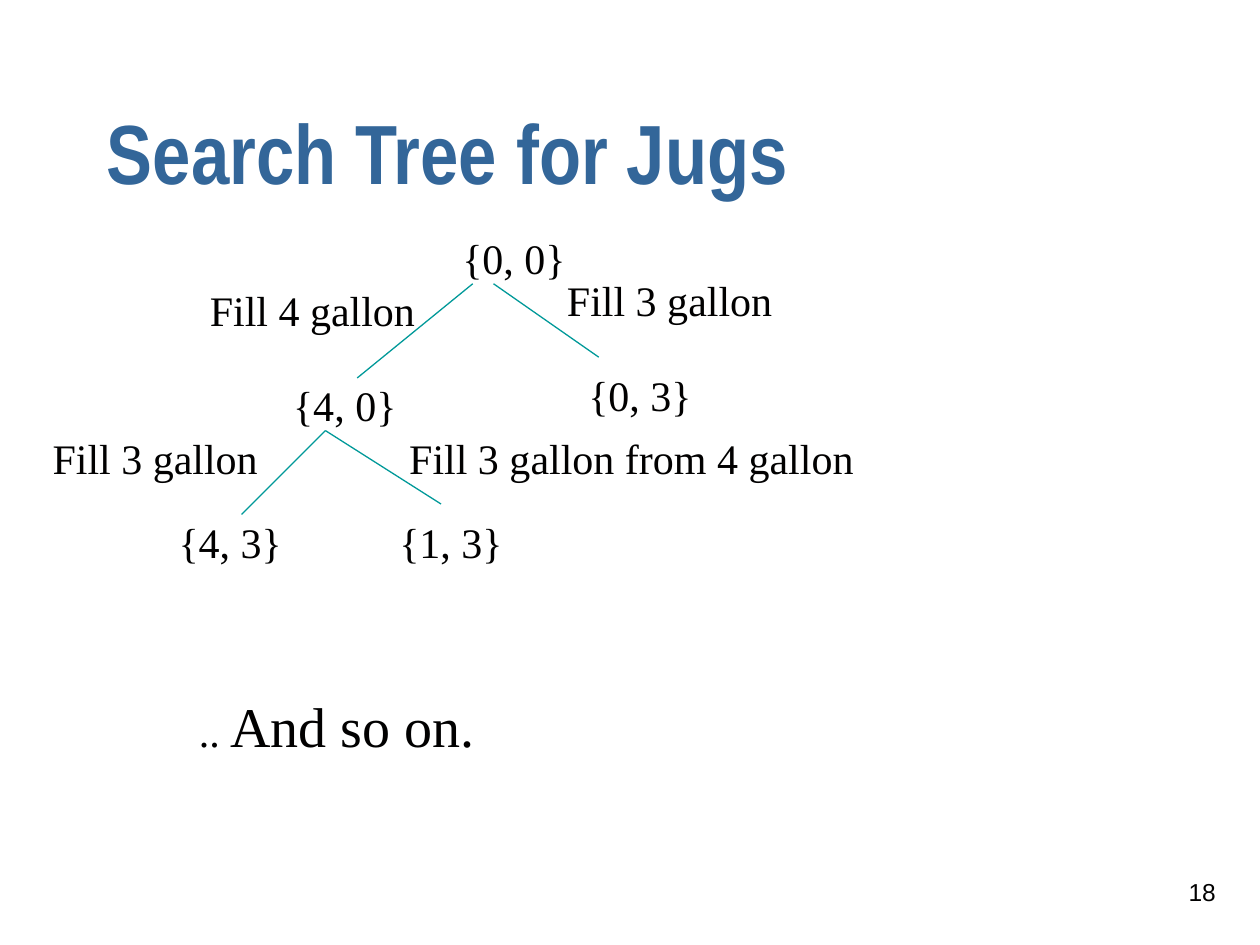
from lxml.etree import SubElement
from pptx import Presentation
from pptx.dml.color import RGBColor
from pptx.enum.shapes import MSO_CONNECTOR
from pptx.enum.text import MSO_ANCHOR, PP_ALIGN
from pptx.oxml.ns import qn
from pptx.util import Cm, Pt

theme = {
    "title": {"name": "Arial Narrow", "size": Pt(48), "bold": True},
    "tree": {"name": "Times New Roman", "size": Pt(24)},
    "close": {"name": "Times New Roman", "size": Pt(32)},
    "page": {"name": "Arial", "size": Pt(14)},
    "blue": RGBColor.from_string("336699"),
    "ink": RGBColor.from_string("010000"),
    "teal": RGBColor.from_string("009999"),
    "line": Pt(0.75),
}


def write(para, text, style, color):
    run = para.add_run()
    run.text = text
    for key, value in theme[style].items():
        setattr(run.font, key, value)
    run.font.color.rgb = theme[color]


def add_box(left, top, width, height):
    box = slide.shapes.add_textbox(Cm(left), Cm(top), Cm(width), Cm(height))
    return box.text_frame


deck = Presentation()
deck.slide_width, deck.slide_height = Cm(25.4), Cm(19.05)
slide = deck.slides.add_slide(deck.slide_layouts[5])

# Title
title = slide.shapes.title
place = {"left": Cm(1.9), "top": Cm(1.7), "width": Cm(22.86), "height": Cm(3.18)}
for key, value in place.items():
    setattr(title, key, value)
title.text_frame.vertical_anchor = MSO_ANCHOR.MIDDLE
head = title.text_frame.paragraphs[0]
head.alignment = PP_ALIGN.LEFT
head.line_spacing = 0.7
write(head, "Search Tree for Jugs", "title", "blue")

# States and moves: text, left, top, width
state, move = 2.59, 4.65
labels = [
    ("{0, 0}", 9.07, 4.57, state),
    ("{4, 0}", 5.66, 7.53, state),
    ("{0, 3}", 11.61, 7.32, state),
    ("{4, 3}", 3.35, 10.28, state),
    ("{1, 3}", 7.8, 10.28, state),
    ("Fill 3 gallon", 11.18, 5.4, move),
    ("Fill 4 gallon", 3.98, 5.62, move),
    ("Fill 3 gallon", 0.81, 8.59, move),
    ("Fill 3 gallon from 4 gallon", 8, 8.59, 9.47),
]
for text, left, top, width in labels:
    frame = add_box(left, top, width, 1.27)
    frame.word_wrap = False
    write(frame.paragraphs[0], text, "tree", "ink")

# Branches: start x, start y, end x, end y
edges = [
    (9.53, 5.72, 7.2, 7.62),
    (6.56, 8.68, 4.87, 10.37),
    (6.56, 8.68, 8.89, 10.16),
    (9.95, 5.72, 12.07, 7.2),
]
for ends in edges:
    edge = slide.shapes.add_connector(MSO_CONNECTOR.STRAIGHT, *map(Cm, ends))
    edge.line.color.rgb = theme["teal"]
    edge.line.width = theme["line"]
    SubElement(edge.element.spPr, qn("a:effectLst"))

# Closing words
frame = add_box(3.76, 13.82, 6.35, 1.63)
frame.word_wrap = False
write(frame.paragraphs[0], ".. ", "tree", "ink")
write(frame.paragraphs[0], "And so on.", "close", "ink")

# Page number
frame = add_box(19.48, 17.35, 5.28, 1.27)
frame.word_wrap = True
frame.vertical_anchor = MSO_ANCHOR.MIDDLE
frame.paragraphs[0].alignment = PP_ALIGN.RIGHT
write(frame.paragraphs[0], "18", "page", "ink")

deck.save("out.pptx")
